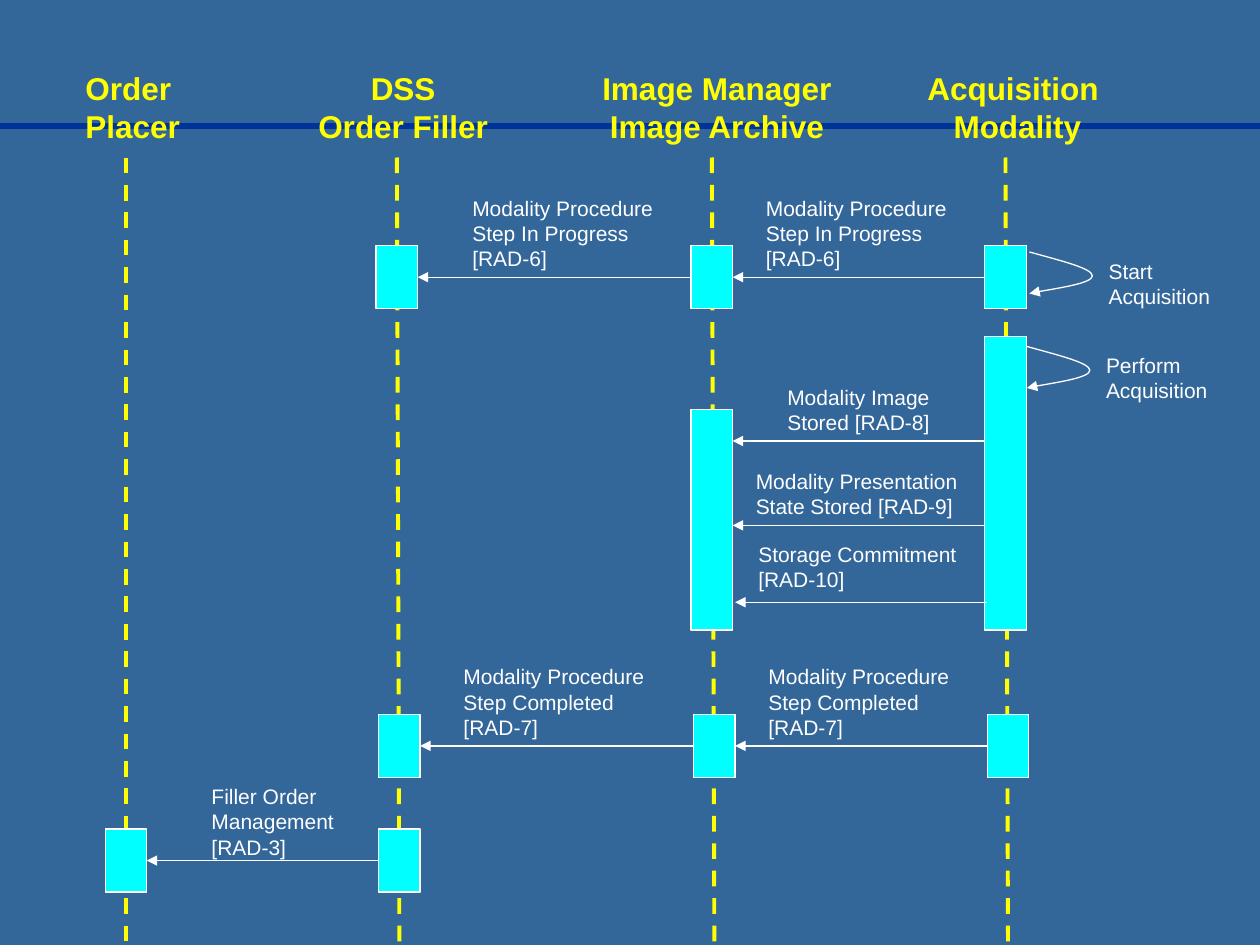
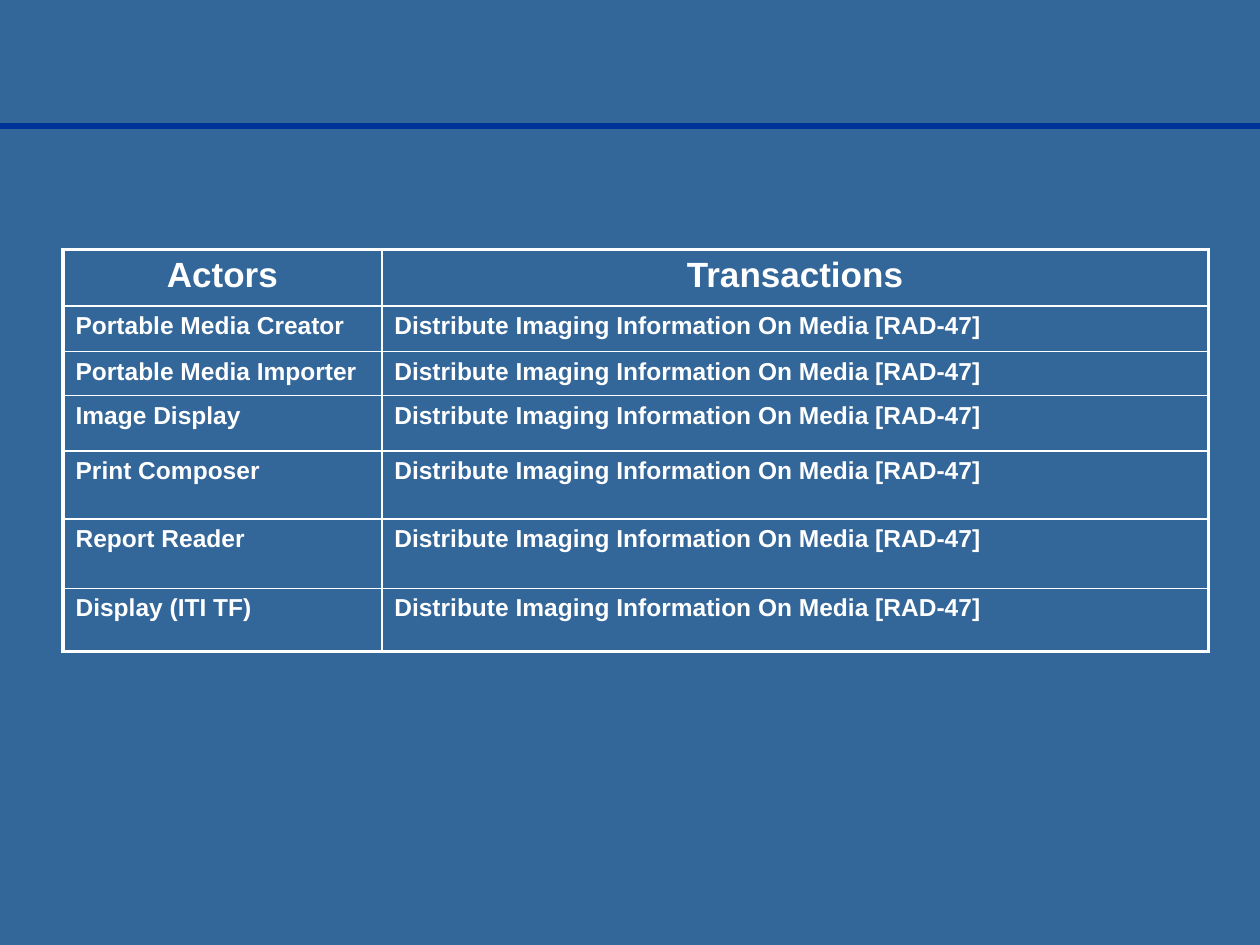
import pptx
import pptx.dml.color
import pptx.enum.dml
import pptx.enum.shapes
import pptx.enum.text
import pptx.oxml
import pptx.oxml.ns
import pptx.util

Inches = pptx.util.Inches
qn = pptx.oxml.ns.qn
ALIGN = pptx.enum.text.PP_ALIGN

COLORS = {
    "background": "336699",
    "rule": "003399",
    "heading": "FFFF00",
    "bar": "00FFFF",
    "text": "FFFFFF",
}
FONT = "Arial"
THIN, THICK = 0.75, 2.25
BAR_WIDTH = 0.33
DRIFT = 0.02  # the later steps sit slightly to the right

# Actor: lifeline x at the top, lifeline x at the bottom
LIFELINES = {
    "placer": (1, 1),
    "filler": (3.15, 3.15 + DRIFT),
    "manager": (5.65, 5.65 + DRIFT),
    "modality": (7.98, 7.98 + DRIFT),
}
# Heading lines, left, width, alignment
HEADINGS = [
    ("Order\nPlacer", 0.58, 0.96, ALIGN.LEFT),
    ("DSS\nOrder Filler", 2.42, 1.56, ALIGN.CENTER),
    ("Image Manager\nImage Archive", 4.67, 2.04, ALIGN.CENTER),
    ("Acquisition \nModality", 7.25, 1.65, ALIGN.CENTER),
]
# Actor, top, height, later step
BARS = [
    ("filler", 1.95, 0.5, False),
    ("manager", 1.95, 0.5, False),
    ("modality", 1.95, 0.5, False),
    ("modality", 2.67, 2.33, False),
    ("manager", 3.25, 1.75, False),
    ("filler", 5.67, 0.5, True),
    ("manager", 5.67, 0.5, True),
    ("modality", 5.67, 0.5, True),
    ("filler", 6.58, 0.5, True),
    ("placer", 6.58, 0.5, True),
]
IN_PROGRESS = "Modality Procedure Step In Progress [RAD-6]"
COMPLETED = "Modality Procedure Step Completed [RAD-7]"
# Sender, receiver, arrow y, later step, label, label box
MESSAGES = [
    ("modality", "manager", 2.2, False, IN_PROGRESS, (5.98, 1.5, 1.75, 0.7)),
    ("manager", "filler", 2.2, False, IN_PROGRESS, (3.65, 1.5, 1.75, 0.7)),
    ("modality", "manager", 3.5, False, "Modality Image Stored [RAD-8]",
     (6.15, 3, 1.42, 0.5)),
    ("modality", "manager", 4.17, False,
     "Modality Presentation State Stored [RAD-9]", (5.9, 3.67, 1.83, 0.5)),
    ("modality", "manager", 4.78, True, "Storage Commitment [RAD-10]",
     (5.92, 4.25, 1.83, 0.5)),
    ("modality", "manager", 5.92, True, COMPLETED, (6, 5.22, 1.75, 0.7)),
    ("manager", "filler", 5.92, True, COMPLETED, (3.58, 5.22, 1.75, 0.7)),
    ("filler", "placer", 6.83, True, "Filler Order Management\n[RAD-3]",
     (1.58, 6.17, 1.75, 0.71)),
]
# Label, left, top
SELF_CALLS = [
    ("Start Acquisition", 8.17, 2),
    ("Perform Acquisition", 8.15, 2.75),
]
# Offsets from the start of a loop: two curves of three points each
LOOP_POINTS = [(0.25, 0.07), (0.5, 0.13), (0.5, 0.19),
               (0.5, 0.25), (0.08, 0.31), (0, 0.33)]

TRANSACTION = "Distribute Imaging Information On Media [RAD-47]"
ACTORS = ["Portable Media Creator", "Portable Media Importer", "Image Display",
          "Print Composer", "Report Reader", "Display (ITI TF)"]
COLUMN_WIDTHS = [2.53, 6.56]
ROW_HEIGHTS = [0.45, 0.36, 0.35, 0.44, 0.54, 0.55, 0.5]


def rgb(name):
    return pptx.dml.color.RGBColor.from_string(COLORS[name])


def style_line(line, color, width):
    line.color.rgb = rgb(color)
    line.width = pptx.util.Pt(width)


def add_arrowhead(shape):
    outline = shape._element.spPr.find(qn("a:ln"))
    outline.append(pptx.oxml.parse_xml(
        f'<a:tailEnd {pptx.oxml.ns.nsdecls("a")} type="triangle"/>'))


def add_line(page, start, end, color, width):
    line = page.shapes.add_connector(
        pptx.enum.shapes.MSO_CONNECTOR.STRAIGHT,
        *(Inches(value) for value in (*start, *end)))
    style_line(line.line, color, width)
    properties = line._element.spPr
    properties.append(properties.makeelement(qn("a:effectLst"), {}))
    return line


def write_text(frame, text, size, color, bold=False, align=ALIGN.LEFT):
    frame.text = text
    for para in frame.paragraphs:
        para.alignment = align
        for span in para.runs:
            span.font.name = FONT
            span.font.size = pptx.util.Pt(size)
            span.font.bold = bold
            span.font.color.rgb = rgb(color)


def add_text(page, text, place, size, color, wrap=True, **style):
    box = page.shapes.add_textbox(*(Inches(value) for value in place))
    box.text_frame.word_wrap = wrap
    write_text(box.text_frame, text, size, color, **style)


def actor_x(actor, later):
    return LIFELINES[actor][int(later)]


def add_bar(page, actor, top, height, later):
    left = actor_x(actor, later) - BAR_WIDTH / 2
    bar = page.shapes.add_shape(
        pptx.enum.shapes.MSO_SHAPE.RECTANGLE,
        Inches(left), Inches(top), Inches(BAR_WIDTH), Inches(height))
    bar.shadow.inherit = False
    bar.fill.solid()
    bar.fill.fore_color.rgb = rgb("bar")
    style_line(bar.line, "text", THIN)


def add_message(page, sender, receiver, y, later, label, place):
    start = actor_x(sender, later) - BAR_WIDTH / 2
    end = actor_x(receiver, later) + BAR_WIDTH / 2
    add_arrowhead(add_line(page, (start, y), (end, y), "text", THIN))
    add_text(page, label, place, 12, "text")


def add_self_call(page, label, left, top):
    builder = page.shapes.build_freeform(Inches(left), Inches(top))
    builder.add_line_segments(
        [(Inches(left + dx), Inches(top + dy)) for dx, dy in LOOP_POINTS],
        close=False)
    loop = builder.convert_to_shape()
    loop.shadow.inherit = False
    loop.fill.background()
    style_line(loop.line, "text", THIN)
    add_arrowhead(loop)

    # Turn each three segments into one cubic curve
    segments = list(loop._element.iter(qn("a:lnTo")))
    for first in range(0, len(segments), 3):
        curve = segments[first].makeelement(qn("a:cubicBezTo"), {})
        segments[first].addprevious(curve)
        for segment in segments[first:first + 3]:
            curve.append(segment[0])
            segment.getparent().remove(segment)

    add_text(page, label, (left + 0.53, top, 1.07, 0.5), 12, "text")


def set_borders(cell, widths):
    properties = cell._tc.get_or_add_tcPr()
    for index, (side, width) in enumerate(widths.items()):
        properties.insert(index, pptx.oxml.parse_xml(
            f'<a:ln{side} {pptx.oxml.ns.nsdecls("a")} '
            f'w="{pptx.util.Pt(width)}"><a:solidFill>'
            f'<a:srgbClr val="{COLORS["text"]}"/>'
            f'</a:solidFill></a:ln{side}>'))


def add_actor_table(page):
    rows = [("Actors", "Transactions")] + [(name, TRANSACTION) for name in ACTORS]
    last_row, last_column = len(rows) - 1, len(COLUMN_WIDTHS) - 1
    table = page.shapes.add_table(
        len(rows), len(COLUMN_WIDTHS), Inches(0.5), Inches(1.98),
        Inches(sum(COLUMN_WIDTHS)), Inches(sum(ROW_HEIGHTS))).table
    table.first_row = table.horz_banding = False
    for column, width in zip(table.columns, COLUMN_WIDTHS):
        column.width = Inches(width)
    for r, (texts, height) in enumerate(zip(rows, ROW_HEIGHTS)):
        table.rows[r].height = Inches(height)
        for c, text in enumerate(texts):
            cell = table.cell(r, c)
            cell.fill.background()
            write_text(cell.text_frame, text, 14 if r else 20, "text", bold=True,
                       align=ALIGN.LEFT if r else ALIGN.CENTER)
            outer = {"L": c == 0, "R": c == last_column,
                     "T": r == 0, "B": r == last_row}
            set_borders(cell, {side: THICK if edge else 1
                               for side, edge in outer.items()})


def add_page(deck):
    page = deck.slides.add_slide(deck.slide_layouts[6])
    add_line(page, (0, 1), (10, 1), "rule", 3)
    return page


def build_sequence_page(deck):
    page = add_page(deck)
    for text, left, width, align in HEADINGS:
        add_text(page, text, (left, 0.5, width, 0.71), 18, "heading",
                 wrap=False, bold=True, align=align)
    for top_x, bottom_x in LIFELINES.values():
        lifeline = add_line(page, (top_x, 1.25), (bottom_x, 7.5), "heading", THICK)
        lifeline.line.dash_style = pptx.enum.dml.MSO_LINE.DASH
    for bar in BARS:
        add_bar(page, *bar)
    for message in MESSAGES:
        add_message(page, *message)
    for call in SELF_CALLS:
        add_self_call(page, *call)


def main():
    deck = pptx.Presentation()
    deck.slide_width, deck.slide_height = Inches(10), Inches(7.5)
    background = deck.slide_master.background.fill
    background.solid()
    background.fore_color.rgb = rgb("background")

    build_sequence_page(deck)
    add_actor_table(add_page(deck))
    deck.save("out.pptx")


if __name__ == "__main__":
    main()
